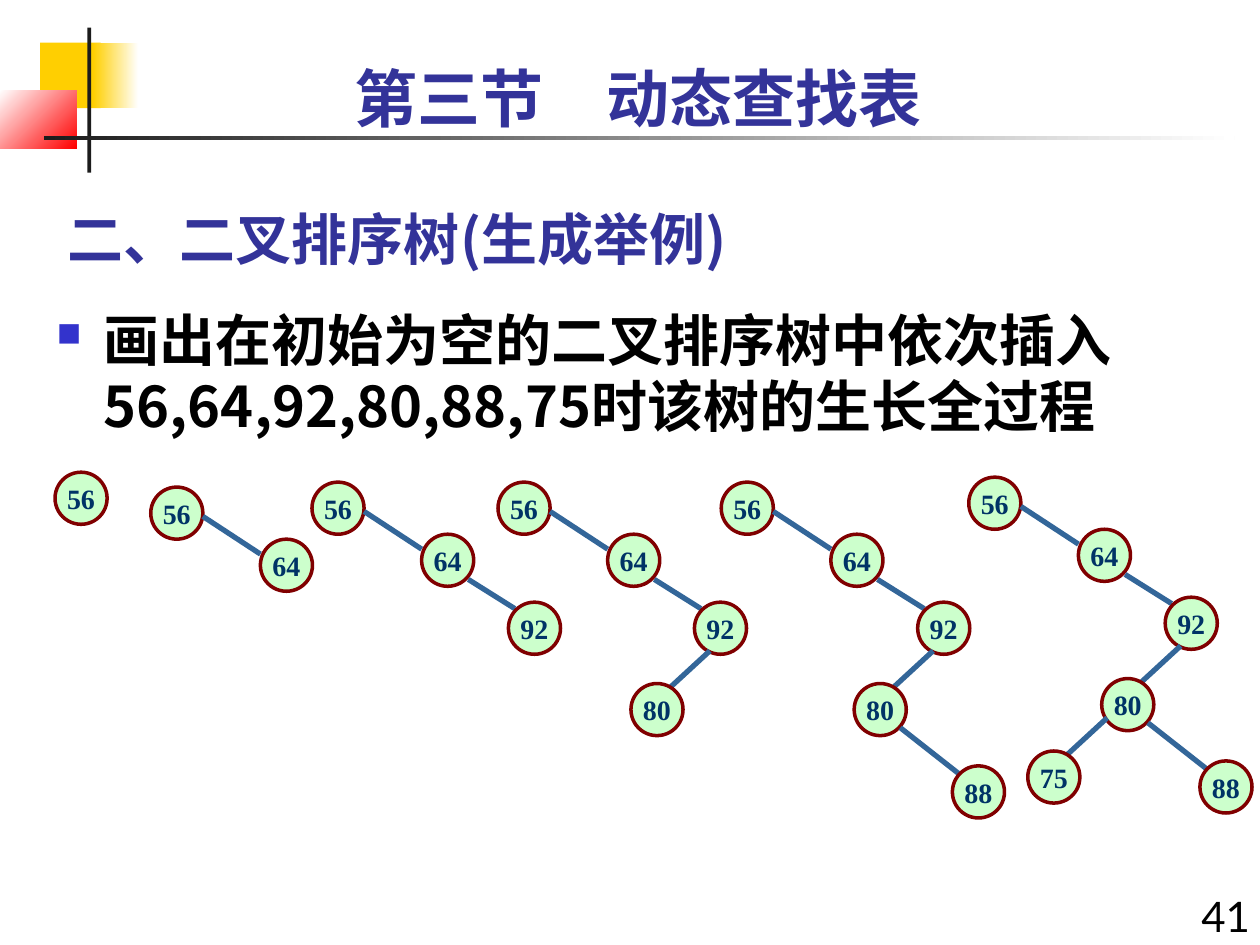
from dataclasses import dataclass

from lxml.etree import SubElement
from pptx import Presentation
from pptx.dml.color import RGBColor
from pptx.enum.shapes import MSO_CONNECTOR, MSO_SHAPE
from pptx.enum.text import MSO_ANCHOR, PP_ALIGN
from pptx.oxml.ns import qn
from pptx.util import Cm, Pt


@dataclass(frozen=True)
class Theme:
    yellow: str = "FFCF01"
    red: str = "FF0000"
    white: str = "FFFFFF"
    dark: str = "1C1C1C"
    heading: str = "333399"
    body: str = "000000"
    bullet: str = "3333CC"
    node_fill: str = "CCFFCC"
    node_line: str = "800000"
    node_text: str = "003366"
    edge: str = "336699"
    sans: str = "Lato"
    cjk: str = "Noto Sans CJK SC"
    serif: str = "Times New Roman"
    section_size: int = 36
    text_size: int = 32
    page_size: int = 24
    node_size: int = 16


@dataclass(frozen=True)
class Bar:
    left: float
    top: float
    width: float
    height: float
    colors: tuple[str, ...]
    angle: int = 0


@dataclass(frozen=True)
class Node:
    key: str
    x: float
    y: float
    edge: tuple[float, float, float, float] | None = None


@dataclass(frozen=True)
class Tree:
    x: float
    y: float
    size: int


T = Theme()
NODE_DIAMETER = 1.05

BARS = (
    Bar(0.81, 0.86, 1.22, 1.32, (T.yellow,)),
    Bar(1.88, 0.86, 0.91, 1.32, (T.yellow, T.white)),
    Bar(0, 1.83, 1.55, 1.17, (T.white, T.red), 315),
    Bar(1.76, 0.56, 0.08, 2.92, (T.dark,)),
    Bar(0.89, 2.74, 24, 0.08, (T.dark, T.white)),
)

NODES = (
    Node("56", 0, 0),
    Node("64", 2.21, 1.05, (1.05, 0.59, 2.21, 1.35)),
    Node("92", 3.96, 2.42, (3.15, 1.96, 4.09, 2.55)),
    Node("80", 2.68, 4.06, (4.27, 3.4, 3.38, 4.22)),
    Node("88", 4.66, 5.72, (3.61, 4.95, 4.78, 5.87)),
    Node("75", 1.19, 5.52, (2.79, 4.85, 1.91, 5.66)),
)

TREES = (
    Tree(1.11, 9.52, 1),
    Tree(3.04, 9.82, 2),
    Tree(6.29, 9.72, 3),
    Tree(10.04, 9.72, 4),
    Tree(14.54, 9.72, 5),
    Tree(19.53, 9.62, 6),
)


def rgb(color: str) -> RGBColor:
    return RGBColor.from_string(color)


def write_text(sp, text: str, *, size: int, font: str, color: str, bold: bool = True,
               align=PP_ALIGN.LEFT, anchor=MSO_ANCHOR.TOP, wrap: bool = True,
               bullet: bool = False, line_spacing=None) -> None:
    tf = sp.text_frame
    tf.word_wrap = wrap
    tf.vertical_anchor = anchor
    p = tf.paragraphs[0]
    p.alignment = align
    if line_spacing:
        p.line_spacing = Pt(line_spacing)
    if bullet:
        pPr = p._p.get_or_add_pPr()
        pPr.set("marL", str(Cm(0.95)))
        pPr.set("indent", str(Cm(-0.95)))
        clr = SubElement(pPr, qn("a:buClr"))
        SubElement(clr, qn("a:srgbClr"), val=T.bullet)
        SubElement(pPr, qn("a:buSzPct"), val="60000")
        SubElement(pPr, qn("a:buChar"), char="■")
    r = p.add_run()
    r.text = text
    r.font.size = Pt(size)
    r.font.name = font
    r.font.bold = bold
    r.font.color.rgb = rgb(color)
    SubElement(r._r.get_or_add_rPr(), qn("a:ea"), typeface=font)


def add_label(slide, text: str, left: float, top: float, width: float, height: float,
              **fmt) -> None:
    sp = slide.shapes.add_textbox(Cm(left), Cm(top), Cm(width), Cm(height))
    write_text(sp, text, **fmt)


def draw_bar(slide, bar: Bar) -> None:
    sp = slide.shapes.add_shape(MSO_SHAPE.RECTANGLE, Cm(bar.left), Cm(bar.top),
                                Cm(bar.width), Cm(bar.height))
    sp.shadow.inherit = False
    sp.line.fill.background()
    if len(bar.colors) == 1:
        sp.fill.solid()
        sp.fill.fore_color.rgb = rgb(bar.colors[0])
        return
    sp.fill.gradient()
    sp.fill.gradient_angle = bar.angle
    for stop, color in zip(sp.fill.gradient_stops, bar.colors):
        stop.color.rgb = rgb(color)


def draw_edge(slide, x1: float, y1: float, x2: float, y2: float) -> None:
    line = slide.shapes.add_connector(MSO_CONNECTOR.STRAIGHT, Cm(x1), Cm(y1), Cm(x2), Cm(y2))
    line.line.color.rgb = rgb(T.edge)
    line.line.width = Pt(3)
    SubElement(line._element.spPr, qn("a:effectLst"))


def draw_node(slide, key: str, x: float, y: float) -> None:
    sp = slide.shapes.add_shape(MSO_SHAPE.OVAL, Cm(x), Cm(y),
                                Cm(NODE_DIAMETER), Cm(NODE_DIAMETER))
    sp.shadow.inherit = False
    sp.fill.solid()
    sp.fill.fore_color.rgb = rgb(T.node_fill)
    sp.line.color.rgb = rgb(T.node_line)
    sp.line.width = Pt(2)
    write_text(sp, key, size=T.node_size, font=T.serif, color=T.node_text,
               align=PP_ALIGN.CENTER, anchor=MSO_ANCHOR.MIDDLE, wrap=False)


def draw_tree(slide, tree: Tree) -> None:
    for node in NODES[:tree.size]:
        if node.edge:
            x1, y1, x2, y2 = node.edge
            draw_edge(slide, tree.x + x1, tree.y + y1, tree.x + x2, tree.y + y2)
        draw_node(slide, node.key, tree.x + node.x, tree.y + node.y)


def main() -> None:
    prs = Presentation()
    prs.slide_width, prs.slide_height = Cm(25.4), Cm(19.05)
    slide = prs.slides.add_slide(prs.slide_layouts[6])
    for bar in BARS:
        draw_bar(slide, bar)
    add_label(slide, "二、二叉排序树(生成举例)", 1.12, 3.7, 15.88, 1.9,
              size=T.text_size, font=T.cjk, color=T.heading, anchor=MSO_ANCHOR.BOTTOM)
    add_label(slide, "41", 23.75, 17.83, 1.7, 1.5, size=T.page_size, font=T.sans,
              color=T.body, bold=False, align=PP_ALIGN.RIGHT)
    add_label(slide, "第三节\u3000动态查找表".replace("\u3000", "　"), 1.12, 1.07, 23.5, 1.78,
              size=T.section_size, font=T.sans, color=T.heading, align=PP_ALIGN.CENTER)
    add_label(slide, "画出在初始为空的二叉排序树中依次插入56,64,92,80,88,75时该树的生长全过程",
              0.89, 6.04, 24.33, 11.2, size=T.text_size, font=T.cjk, color=T.body,
              bullet=True, line_spacing=38)
    for tree in TREES:
        draw_tree(slide, tree)
    prs.save("out.pptx")


if __name__ == "__main__":
    main()
